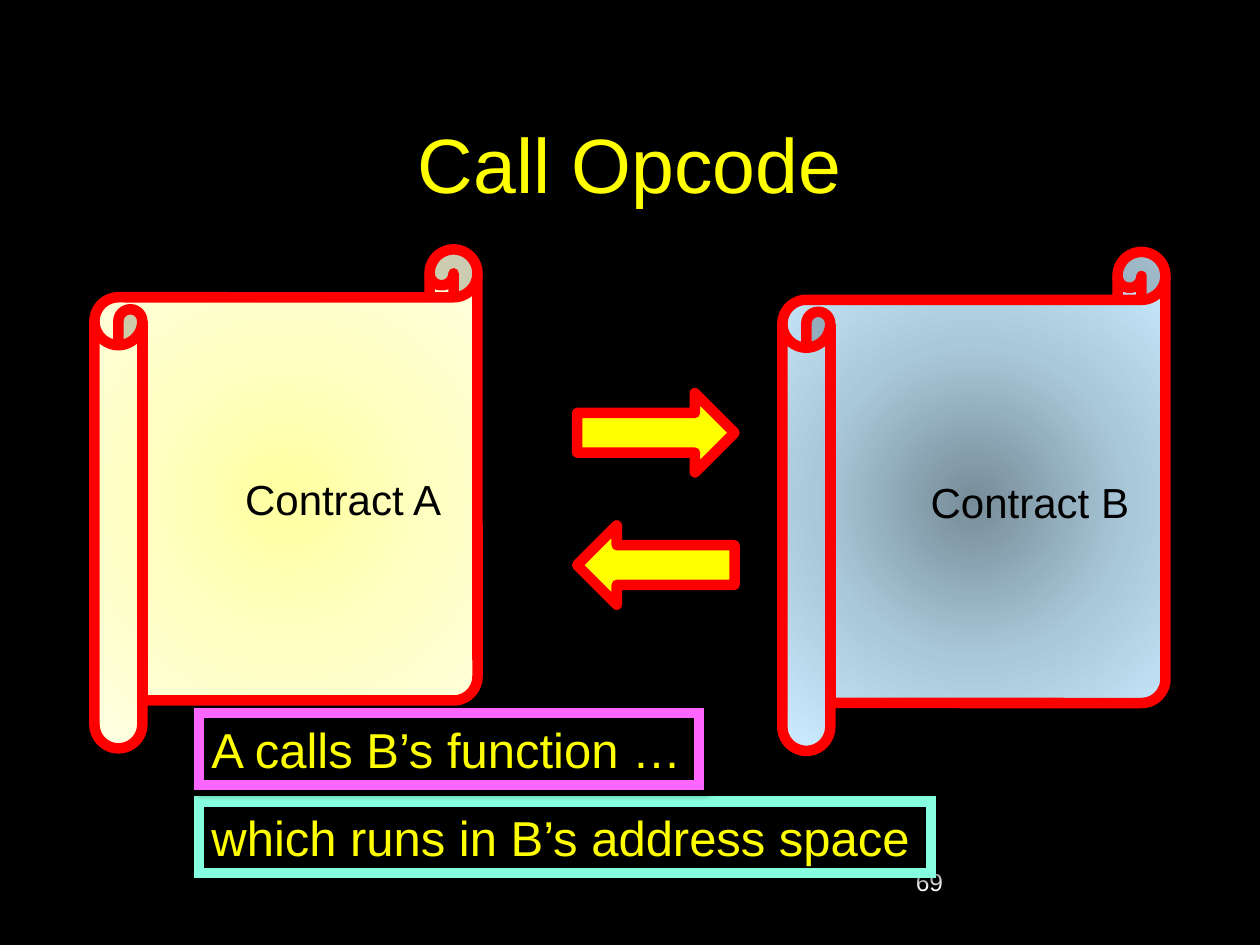
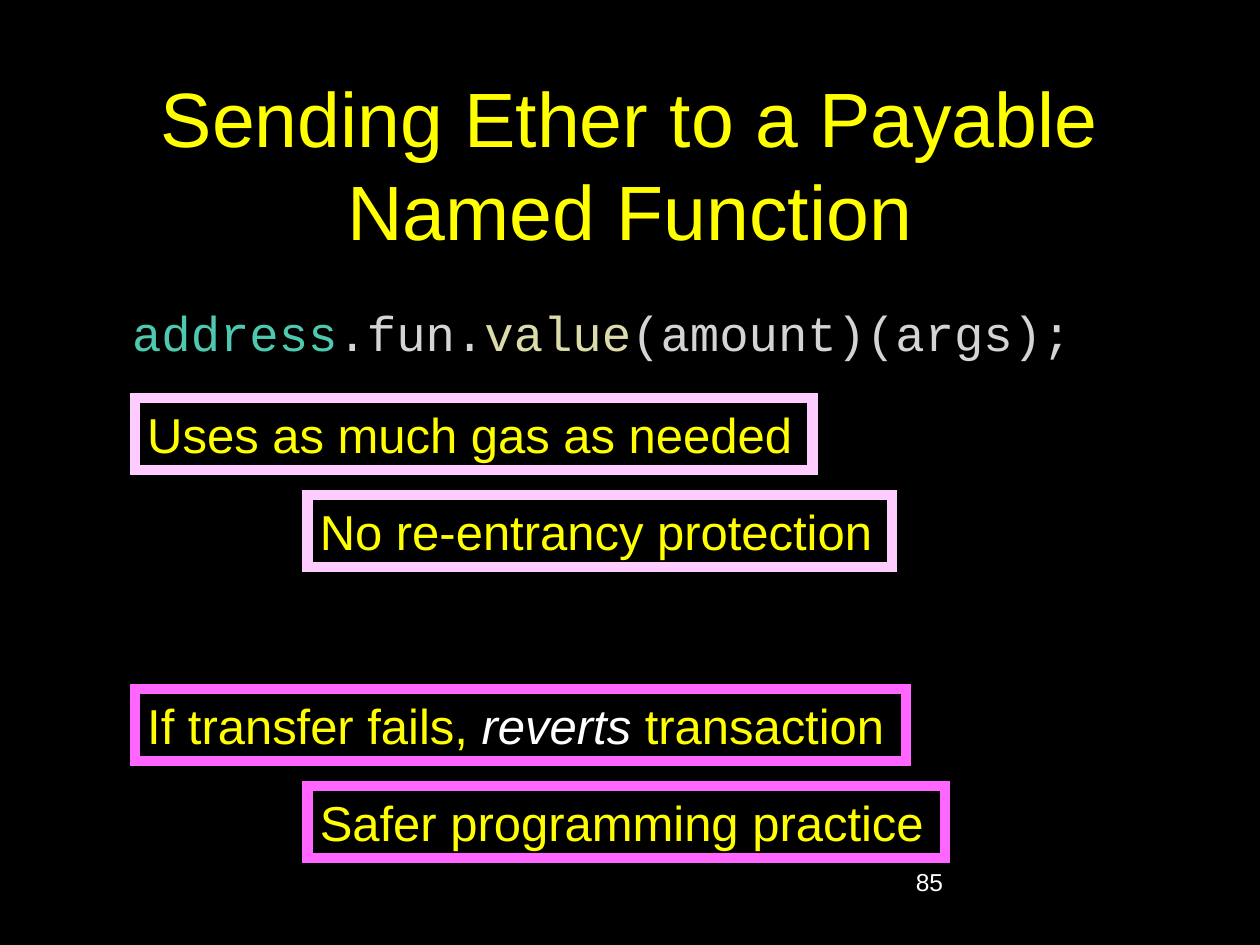
"""Builds two slides on contract calls and on sending ether to a named function."""
from lxml import etree
from pptx import Presentation
from pptx import util as u
from pptx.dml.color import RGBColor
from pptx.enum import shapes, text
from pptx.oxml.ns import qn

BLACK, WHITE, YELLOW, RED = "000000", "FFFFFF", "FFFF00", "FF0000"
MAGENTA, PINK, MINT = "FF66FF", "FFCCFF", "85FFE0"
TEAL, GREY, SAND = "4EC9B0", "D4D4D4", "DCDCAA"
COLUMNS, ROWS = 40, 30
CALLOUT_ROWS = 2.28


def color(value):
    return RGBColor.from_string(value)


def add_element(parent, tag, **attributes):
    return etree.SubElement(parent, qn(tag), attributes)


class Stage:
    def __init__(self):
        self.deck = Presentation()
        self.deck.slide_width, self.deck.slide_height = u.Inches(10), u.Inches(7.5)
        self.page = None

    def place(self, column, row, columns, rows):
        width = self.deck.slide_width / COLUMNS
        height = self.deck.slide_height / ROWS
        return [round(n) for n in (column * width, row * height, columns * width, rows * height)]

    def start(self, title, number):
        self.page = self.deck.slides.add_slide(self.deck.slide_layouts[5])
        fill = self.page.background.fill
        fill.solid()
        fill.fore_color.rgb = color(BLACK)
        box = self.page.shapes.title
        box.left, box.top, box.width, box.height = self.place(3, 2.68, 34, 5)
        box.text_frame.auto_size = text.MSO_AUTO_SIZE.NONE
        self.letter(box, [(title, YELLOW)], 44, text.PP_ALIGN.CENTER)
        label = self.page.shapes.add_textbox(*self.place(28.68, 27.32, 8.32, 2))
        self.letter(label, [(number, WHITE)], 14, anchor=text.MSO_ANCHOR.TOP)

    def letter(self, box, spans, size, align=text.PP_ALIGN.LEFT,
               anchor=text.MSO_ANCHOR.MIDDLE, wrap=True, font="Arial"):
        frame = box.text_frame
        frame.word_wrap, frame.vertical_anchor = wrap, anchor
        para = frame.paragraphs[0]
        para.alignment = align
        para.font.name, para.font.size = font, u.Pt(size)
        para.font.color.rgb = color(spans[0][1])
        for words, ink, *italic in spans:
            span = para.add_run()
            span.text = words
            if len(spans) > 1:
                span.font.color.rgb = color(ink)
            if italic:
                span.font.italic = True

    def shape(self, kind, area, fill, line=None, join="a:round"):
        box = self.page.shapes.add_shape(kind, *self.place(*area))
        box.shadow.inherit = False
        box.fill.solid()
        box.fill.fore_color.rgb = color(fill)
        if line:
            box.line.color.rgb, box.line.width = color(line), u.Pt(6)
            limit = {"lim": "800000"} if join == "a:miter" else {}
            add_element(box._element.spPr.find(qn("a:ln")), join, **limit)
        else:
            box.line.fill.background()
        return box

    def scroll(self, column, row, name, tints):
        kind = shapes.MSO_SHAPE.HORIZONTAL_SCROLL
        box = self.shape(kind, (column, row, 12.16, 15.84), tints[0], RED)
        box.fill.gradient()
        gradient = box._element.spPr.find(qn("a:gradFill"))
        for child in list(gradient):
            gradient.remove(child)
        stops = add_element(gradient, "a:gsLst")
        for index, tint in enumerate(tints):
            stop = add_element(stops, "a:gs", pos=str(index * 50000))
            add_element(stop, "a:srgbClr", val=tint)
        circle = add_element(gradient, "a:path", path="circle")
        add_element(circle, "a:fillToRect", **dict.fromkeys("ltrb", "50000"))
        self.letter(box, [(name, BLACK)], 24, text.PP_ALIGN.RIGHT, wrap=False)

    def callout(self, column, row, columns, line, *spans):
        area = (column, row, columns, CALLOUT_ROWS)
        box = self.shape(shapes.MSO_SHAPE.RECTANGLE, area, BLACK, line, "a:miter")
        effects = box._element.spPr.find(qn("a:effectLst"))
        shadow = add_element(effects, "a:outerShdw", blurRad=str(u.Pt(4)), dist=str(u.Pt(3)),
                             dir="2700000", algn="tl", rotWithShape="0")
        shade = add_element(shadow, "a:srgbClr", val=BLACK)
        add_element(shade, "a:alpha", val="40000")
        box.text_frame.auto_size = text.MSO_AUTO_SIZE.SHAPE_TO_FIT_TEXT
        self.letter(box, spans, 28, anchor=text.MSO_ANCHOR.TOP, wrap=False)

    def code(self, area, *spans):
        box = self.shape(shapes.MSO_SHAPE.RECTANGLE, area, BLACK)
        self.letter(box, spans, 28, font="Courier New")


def build_call_opcode(stage):
    stage.start("Call Opcode", "69")
    stage.scroll(3, 7.92, "Contract A", ("FFFFA0", "FFFFC5", "FFFFE3"))
    stage.scroll(24.84, 8, "Contract B", ("778C99", "A9C8DA", "CCECFF"))
    arrows = (shapes.MSO_SHAPE.RIGHT_ARROW, shapes.MSO_SHAPE.LEFT_ARROW)
    for index, arrow in enumerate(arrows):
        stage.shape(arrow, (18.32, 12.48 + index * 4.2, 5, 2.52), YELLOW, RED)
    stage.callout(6.32, 25.44, 23.24, MINT, ("which runs in B’s address space", YELLOW))
    stage.callout(6.32, 22.64, 15.88, MAGENTA, ("A calls B’s function …", YELLOW))


def build_sending_ether(stage):
    stage.start("Sending Ether to a Payable Named Function", "85")
    stage.code((3.8, 9.4, 31.24, CALLOUT_ROWS), ("address", TEAL), (".fun.", GREY),
               ("value", SAND), ("(amount)(args);", GREY))
    outer, inner, first, pitch = 4.28, 9.76, 12.64, 3.08
    reverts = [("If transfer fails, ", YELLOW), ("reverts", WHITE, True),
               (" transaction", YELLOW)]
    callouts = [
        (outer, 0, 21.52, PINK, [("Uses as much gas as needed", YELLOW)]),
        (outer, 3, 24.48, MAGENTA, reverts),
        (inner, 1, 18.56, PINK, [("No re-entrancy protection", YELLOW)]),
        (inner, 4, 20.24, MAGENTA, [("Safer programming practice", YELLOW)]),
    ]
    for column, step, columns, line, spans in callouts:
        stage.callout(column, first + step * pitch, columns, line, *spans)


def main():
    stage = Stage()
    build_call_opcode(stage)
    build_sending_ether(stage)
    stage.deck.save("out.pptx")


if __name__ == "__main__":
    main()
